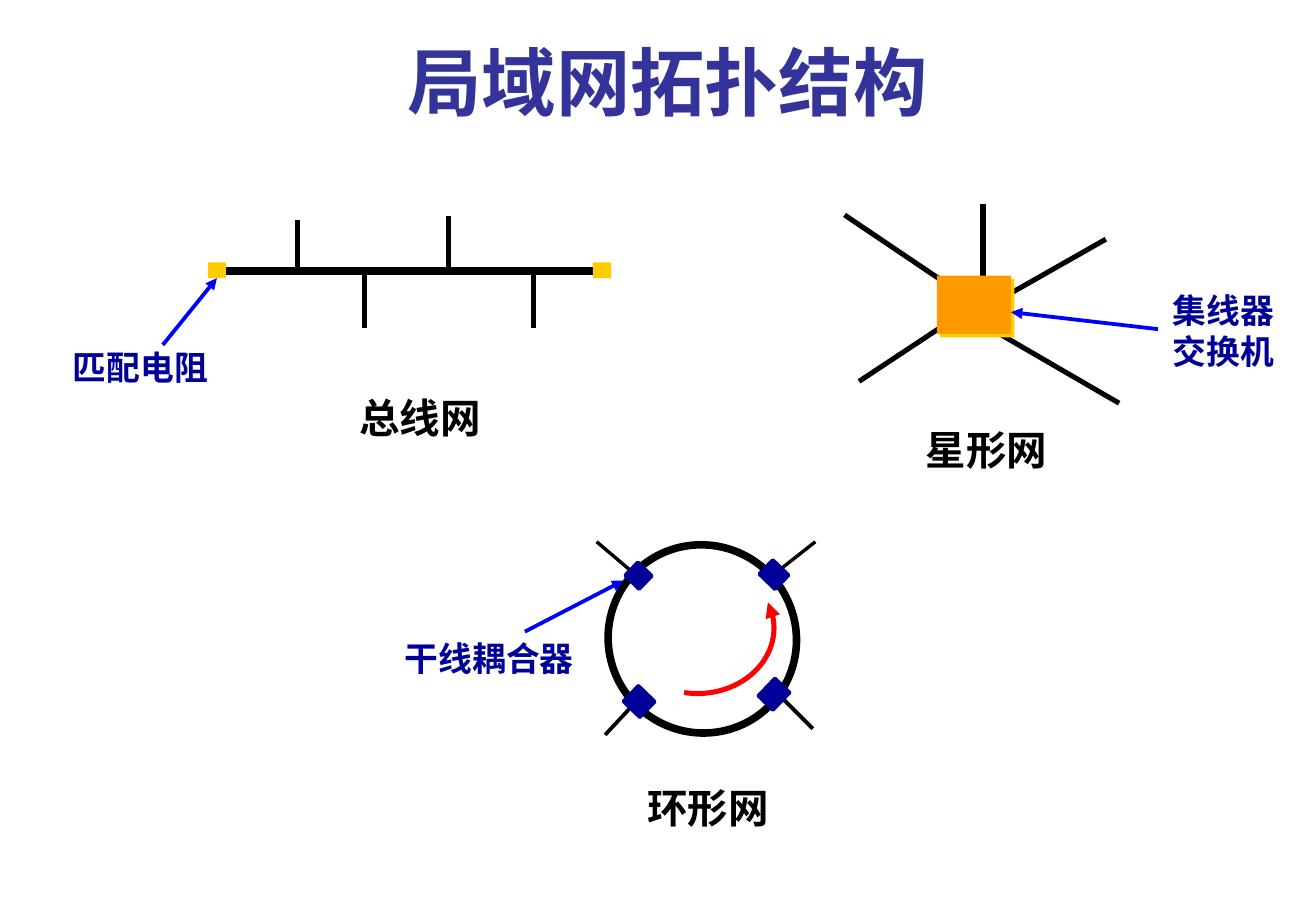
from dataclasses import dataclass
from math import cos, radians, sin

from lxml.etree import SubElement
from pptx import Presentation
from pptx.dml.color import RGBColor
from pptx.enum.lang import MSO_LANGUAGE_ID
from pptx.enum.shapes import MSO_CONNECTOR, MSO_SHAPE
from pptx.enum.text import MSO_ANCHOR, PP_ALIGN
from pptx.oxml.ns import qn
from pptx.shapes.autoshape import Shape
from pptx.shapes.connector import Connector
from pptx.util import Inches, Pt

BLACK = RGBColor(0x00, 0x00, 0x00)
WHITE = RGBColor(0xFF, 0xFF, 0xFF)
TITLE_BLUE = RGBColor(0x33, 0x33, 0x99)
NAVY = RGBColor(0x00, 0x00, 0x99)
POINTER_BLUE = RGBColor(0x00, 0x00, 0xFF)
RED = RGBColor(0xFF, 0x00, 0x00)
ORANGE = RGBColor(0xFF, 0x99, 0x00)
YELLOW = RGBColor(0xFF, 0xCC, 0x00)

CJK_FONT = "Noto Sans CJK SC"
RING_ROTATION = 314


@dataclass(frozen=True)
class Label:
    text: str
    left: float
    top: float
    width: float
    height: float
    size: float
    font: str = CJK_FONT
    color: RGBColor = BLACK
    align: PP_ALIGN = PP_ALIGN.LEFT
    anchor: MSO_ANCHOR = MSO_ANCHOR.TOP
    wrap: bool = False


@dataclass(frozen=True)
class Wire:
    x1: float
    y1: float
    x2: float
    y2: float
    weight: float = 3
    color: RGBColor = BLACK
    pointer: bool = False


@dataclass(frozen=True)
class Node:
    left: float
    top: float
    width: float
    height: float
    fill: RGBColor
    outline: RGBColor | None = None
    weight: float = 0
    rotation: float = 0
    kind: MSO_SHAPE = MSO_SHAPE.RECTANGLE


def add_label(label: Label) -> None:
    box = slide.shapes.add_textbox(
        Inches(label.left), Inches(label.top), Inches(label.width), Inches(label.height))
    frame = box.text_frame
    frame.word_wrap = label.wrap
    frame.vertical_anchor = label.anchor
    frame.text = label.text
    for paragraph in frame.paragraphs:
        paragraph.alignment = label.align
        for run in paragraph.runs:
            run.font.size = Pt(label.size)
            run.font.bold = True
            run.font.color.rgb = label.color
            run.font.name = label.font
            run.font.language_id = MSO_LANGUAGE_ID.SIMPLIFIED_CHINESE
            SubElement(run.font._element, qn("a:ea"), typeface=CJK_FONT)


def add_wire(wire: Wire) -> Connector:
    line = slide.shapes.add_connector(
        MSO_CONNECTOR.STRAIGHT, Inches(wire.x1), Inches(wire.y1),
        Inches(wire.x2), Inches(wire.y2))
    line.line.width = Pt(wire.weight)
    line.line.color.rgb = wire.color
    if wire.pointer:
        SubElement(line.line._get_or_add_ln(), qn("a:headEnd"), type="triangle")
    SubElement(line._element.spPr, qn("a:effectLst"))
    return line


def add_node(node: Node) -> Shape:
    shape = slide.shapes.add_shape(
        node.kind, Inches(node.left), Inches(node.top),
        Inches(node.width), Inches(node.height))
    shape.shadow.inherit = False
    shape.rotation = node.rotation
    shape.fill.solid()
    shape.fill.fore_color.rgb = node.fill
    if node.outline is None:
        shape.line.fill.background()
    else:
        shape.line.color.rgb = node.outline
        shape.line.width = Pt(node.weight)
    return shape


def add_hard_shadow(shape: Shape, color: RGBColor, distance: float) -> None:
    """Cast an unblurred shadow down and to the right, distance in points."""
    effects = shape._element.spPr.find(qn("a:effectLst"))
    shadow = SubElement(effects, qn("a:outerShdw"), blurRad="0", dist=str(Pt(distance)),
                        dir=str(45 * 60000), algn="ctr", rotWithShape="0")
    SubElement(shadow, qn("a:srgbClr"), val=str(color))


def add_token_arrow(center_x: float, center_y: float, radius_x: float, radius_y: float,
                    start: float, end: float, steps: int = 32) -> None:
    """Draw the direction of travel as an elliptical arc, angles in degrees."""
    angles = [radians(start + (end - start) * i / steps) for i in range(steps + 1)]
    points = [(Inches(center_x + radius_x * cos(a)), Inches(center_y + radius_y * sin(a)))
              for a in angles]
    builder = slide.shapes.build_freeform(*points[0])
    builder.add_line_segments(points[1:], close=False)
    arc = builder.convert_to_shape()
    arc.shadow.inherit = False
    arc.fill.background()
    arc.line.color.rgb = RED
    arc.line.width = Pt(3)
    SubElement(arc.line._get_or_add_ln(), qn("a:tailEnd"), type="triangle")


def draw_ring() -> None:
    for stub in (Wire(5.24, 4.74, 4.91, 4.46, 2), Wire(6.71, 4.46, 6.38, 4.72, 2),
                 Wire(6.69, 6, 6.4, 5.71, 2.25), Wire(5.25, 5.76, 4.98, 6.05, 2.25)):
        add_wire(stub)
    add_node(Node(5.01, 4.48, 1.54, 1.56, WHITE, BLACK, 4.5, RING_ROTATION, MSO_SHAPE.OVAL))
    for left, top, width, height, weight in (
            (5.18, 4.66, 0.15, 0.16, 2.25), (6.27, 5.63, 0.2, 0.17, 2),
            (6.29, 4.64, 0.16, 0.18, 2.25), (5.17, 5.68, 0.18, 0.19, 2)):
        add_node(Node(left, top, width, height, NAVY, NAVY, weight, RING_ROTATION))
    add_wire(Wire(5.13, 4.78, 4.32, 5.2, 2.25, POINTER_BLUE, True))
    add_token_arrow(5.74, 5.17, 0.63, 0.54, start=100, end=-23)
    add_label(Label("干线耦合器", 3.08, 5.2, 1.74, 0.43, 20, "Times New Roman", NAVY,
                    PP_ALIGN.RIGHT, wrap=True))
    add_label(Label("环形网", 5.23, 6.4, 1.22, 0.51, 24))


def draw_star() -> None:
    for spoke in (Wire(7.84, 2.37, 6.95, 1.77), Wire(8.09, 2.37, 8.09, 1.68),
                  Wire(7.78, 2.67, 7.07, 3.14), Wire(8.09, 2.67, 9.21, 3.32),
                  Wire(8.22, 2.47, 9.1, 1.97)):
        add_wire(spoke)
    hub = add_node(Node(7.71, 2.27, 0.61, 0.48, ORANGE))
    add_hard_shadow(hub, YELLOW, 2.8)
    add_label(Label("星形网", 7.52, 3.45, 1.22, 0.5, 24))
    add_label(Label("集线器\n交换机", 9.55, 2.34, 1.05, 0.77, 20, "Times New Roman", NAVY))
    add_wire(Wire(8.32, 2.57, 9.53, 2.71, 2.25, POINTER_BLUE, True))


def draw_bus() -> None:
    add_wire(Wire(1.83, 2.23, 4.95, 2.23, 4.5))
    add_node(Node(4.88, 2.16, 0.15, 0.13, YELLOW))
    left_terminator = add_node(Node(1.71, 2.16, 0.15, 0.13, YELLOW))
    for x, tip in ((2.45, 1.81), (3, 2.7), (3.69, 1.78), (4.39, 2.7)):
        add_wire(Wire(x, 2.25, x, tip))
    add_label(Label("总线网", 2.86, 3.19, 1.22, 0.51, 24))
    add_label(Label("匹配电阻", 0.5, 2.81, 1.33, 0.43, 20, "Arial", NAVY))
    resistor_pointer = add_wire(Wire(1.78, 2.3, 1.34, 2.84, 2.25, POINTER_BLUE, True))
    resistor_pointer.begin_connect(left_terminator, 2)


presentation = Presentation()
presentation.slide_width = Inches(10.83)
presentation.slide_height = Inches(7.5)
slide = presentation.slides.add_slide(presentation.slide_layouts[6])

add_label(Label("局域网拓扑结构", 0.54, 0.21, 9.91, 0.87, 44, "Arial", TITLE_BLUE,
                PP_ALIGN.CENTER, MSO_ANCHOR.BOTTOM, wrap=True))
draw_ring()
draw_star()
draw_bus()
presentation.save("out.pptx")
